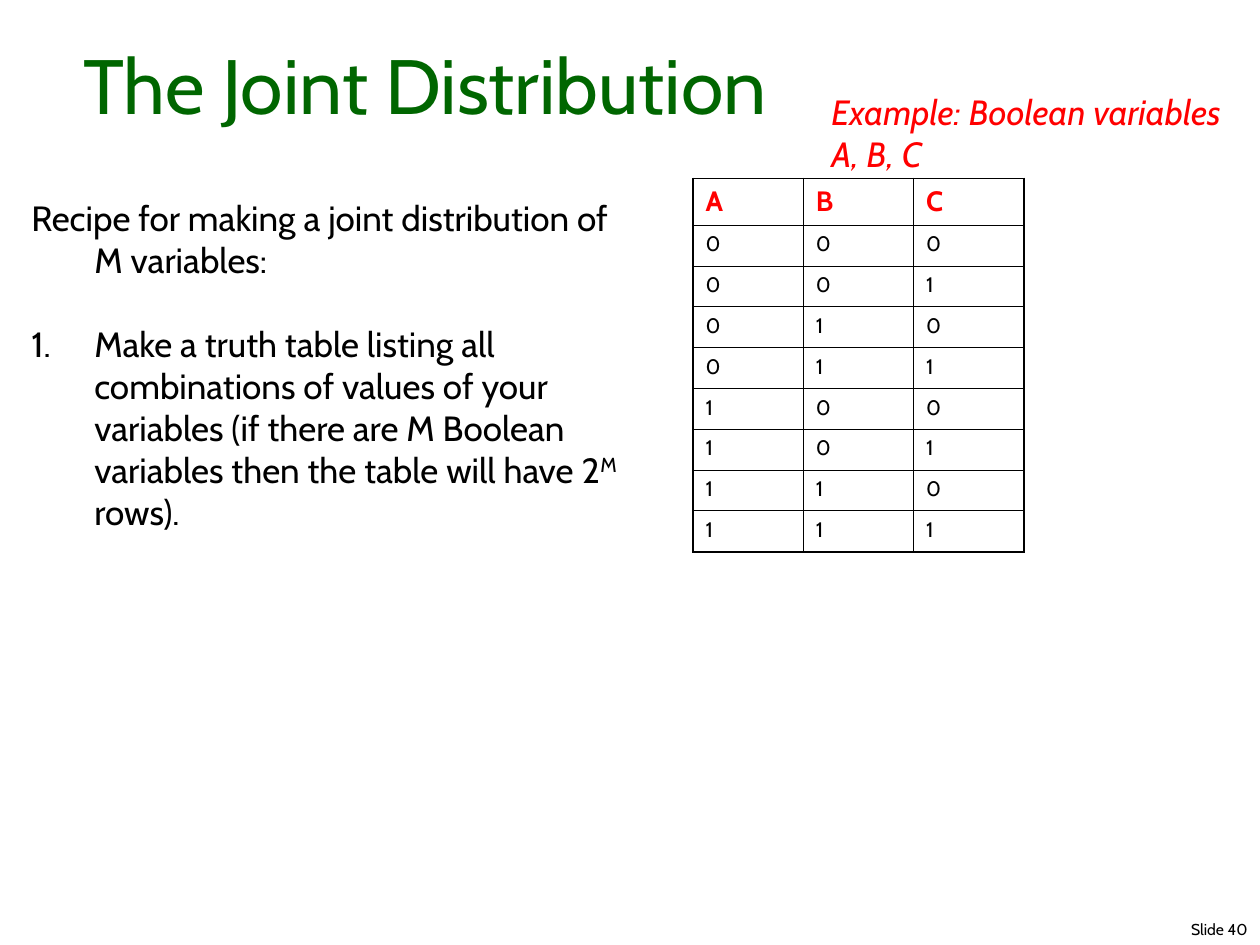
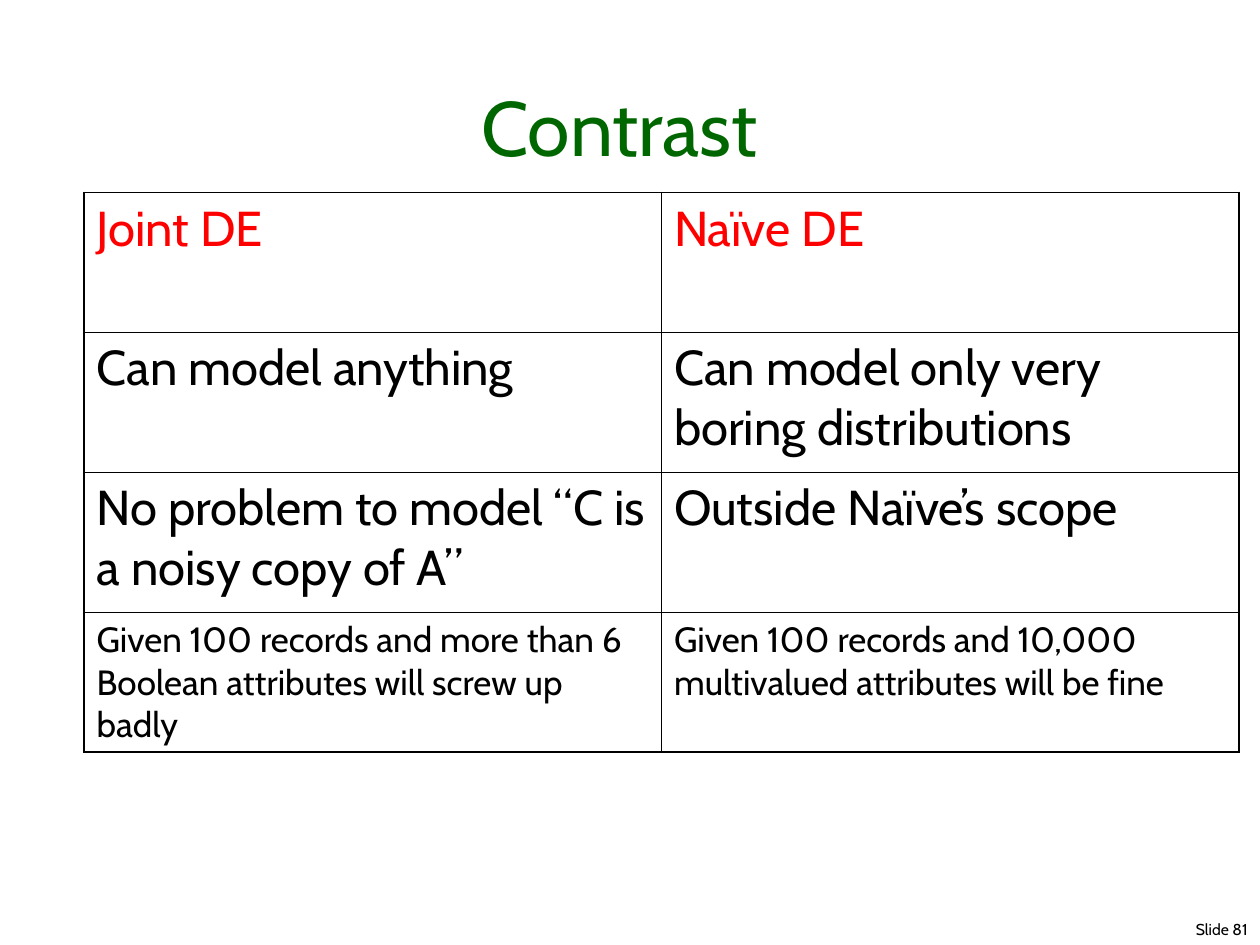
from dataclasses import dataclass

from lxml.etree import SubElement
from pptx import Presentation
from pptx.dml.color import RGBColor as Color
from pptx.enum.text import MSO_ANCHOR as Anchor
from pptx.enum.text import MSO_AUTO_SIZE as AutoSize
from pptx.enum.text import PP_ALIGN as Align
from pptx.oxml import parse_xml
from pptx.oxml.ns import nsdecls, qn
from pptx.util import Inches, Pt

COLUMNS, ROWS = 120, 90
BLANK_LAYOUT = 6


@dataclass(frozen=True)
class Theme:
    font: str = "Cabin"
    ink: str = "000000"
    title: str = "006600"
    accent: str = "FF0000"
    title_size: int = 44
    large: int = 28
    body: int = 20
    heading: int = 16
    small: int = 12
    footer: int = 9
    outer_line: float = 1.08
    inner_line: float = 0.45
    line_pitch: float = 1.2


class SlideBuilder:
    """Holds the theme and the slide being filled; lengths are grid columns and rows."""

    def __init__(self, deck, theme):
        self.deck, self.theme, self.slide = deck, theme, None

    def across(self, columns):
        return round(self.deck.slide_width * columns / COLUMNS)

    def down(self, rows):
        return round(self.deck.slide_height * rows / ROWS)

    def place(self, left, top, width, height):
        return self.across(left), self.down(top), self.across(width), self.down(height)

    def start(self, number):
        self.slide = self.deck.slides.add_slide(self.deck.slide_layouts[BLANK_LAYOUT])
        self.text((73, 87, 47, 3.2), f"Slide {number}", Align.RIGHT, size=self.theme.footer)

    def span(self, para, words, color=None, size=None, raised=False, **formats):
        span = para.add_run()
        span.text = words
        formats = {"name": self.theme.font, "size": Pt(size or self.theme.body), **formats}
        for name, value in formats.items():
            setattr(span.font, name, value)
        span.font.color.rgb = Color.from_string(color or self.theme.ink)
        if raised:
            span.font._element.set("baseline", "30000")

    def box(self, area, anchor=Anchor.TOP, auto_size=AutoSize.SHAPE_TO_FIT_TEXT):
        frame = self.slide.shapes.add_textbox(*self.place(*area)).text_frame
        settings = {"word_wrap": True, "vertical_anchor": anchor, "auto_size": auto_size}
        for name, value in settings.items():
            setattr(frame, name, value)
        return frame

    def text(self, area, words, align=Align.LEFT, **formats):
        para = self.box(area).paragraphs[0]
        para.alignment = align
        self.span(para, words, **formats)

    def title(self, words, width, height):
        para = self.box((3, 3, width, height), Anchor.BOTTOM, AutoSize.NONE).paragraphs[0]
        para.alignment = Align.CENTER
        self.span(para, words, self.theme.title, self.theme.title_size)

    def recipe(self, area, intro, step):
        """Write a hanging intro, then a numbered step given as (words, raised) pairs."""
        frame = self.box(area)
        paras = frame.paragraphs[0], frame.add_paragraph()
        for para in paras:
            properties = para._p.get_or_add_pPr()
            properties.set("marL", str(Inches(0.5)))
            properties.set("indent", str(-Inches(0.5)))
        number = SubElement(paras[1]._p.pPr, qn("a:buAutoNum"))
        number.set("type", "arabicPeriod")
        paras[1].space_before = Pt(self.theme.body * self.theme.line_pitch)
        self.span(paras[0], intro)
        for words, raised in step:
            self.span(paras[1], words, raised=raised)

    def borders(self, cell, outer_sides):
        """Draw the four cell edges, heavier on the sides that bound the table."""
        properties = cell._tc.get_or_add_tcPr()
        for position, side in enumerate("LRTB"):
            width = self.theme.outer_line if side in outer_sides else self.theme.inner_line
            properties.insert(position, parse_xml(
                f'<a:ln{side} {nsdecls("a")} w="{Pt(width)}"><a:solidFill>'
                f'<a:srgbClr val="{self.theme.ink}"/></a:solidFill></a:ln{side}>'))

    def table(self, area, row_heights, records, row_formats):
        """Fill a ruled table; row_formats gives one dict of text formats per row."""
        last_row, last_column = len(records) - 1, len(records[0]) - 1
        table = self.slide.shapes.add_table(
            last_row + 1, last_column + 1, *self.place(*area, sum(row_heights))).table
        table.first_row = table.horz_banding = False
        for column in table.columns:
            column.width = self.across(area[2] / (last_column + 1))
        for row_index, (record, formats) in enumerate(zip(records, row_formats)):
            table.rows[row_index].height = self.down(row_heights[row_index])
            for column_index, words in enumerate(record):
                cell = table.cell(row_index, column_index)
                cell.fill.background()
                edges = {"L": column_index == 0, "R": column_index == last_column,
                         "T": row_index == 0, "B": row_index == last_row}
                self.borders(cell, [side for side, outer in edges.items() if outer])
                self.span(cell.text_frame.paragraphs[0], words, **formats)


def joint_distribution(builder):
    theme = builder.theme
    builder.start(40)
    builder.title("The Joint Distribution", 75, 10)
    builder.recipe(
        (1.8, 18.1, 58.2, 33.2),
        "Recipe for making a joint distribution of M variables:",
        [("Make a truth table listing all combinations of values of your variables "
          "(if there are M Boolean variables then the table will have 2", False),
         ("M ", True), ("rows).", False)])
    builder.text((78, 8, 40, 9.2), "Example: Boolean variables A, B, C",
                 color=theme.accent, italic=True)
    truth_rows = [f"{value:03b}" for value in range(8)]
    heading = {"color": theme.accent, "size": theme.heading, "bold": True}
    builder.table((66, 17, 31.5), [4.44] + [3.89] * 8, ["ABC", *truth_rows],
                  [heading] + [{"size": theme.small}] * 8)


def contrast(builder):
    theme = builder.theme
    builder.start(81)
    builder.title("Contrast", 112, 14)
    records = [
        ("Joint DE", "Naïve DE"),
        ("Can model anything", "Can model only very boring distributions"),
        ("No problem to model “C is a noisy copy of A”", "Outside Naïve’s scope"),
        ("Given 100 records and more than 6 Boolean attributes will screw up badly",
         "Given 100 records and 10,000 multivalued attributes will be fine"),
    ]
    large = {"size": theme.large}
    builder.table((8, 18.33, 110), [13.33] * 4, records,
                  [{**large, "color": theme.accent}, large, large, {"size": theme.body}])


def main():
    deck = Presentation()
    deck.slide_width, deck.slide_height = Inches(10), Inches(7.5)
    builder = SlideBuilder(deck, Theme())
    joint_distribution(builder)
    contrast(builder)
    deck.save("out.pptx")


if __name__ == "__main__":
    main()
